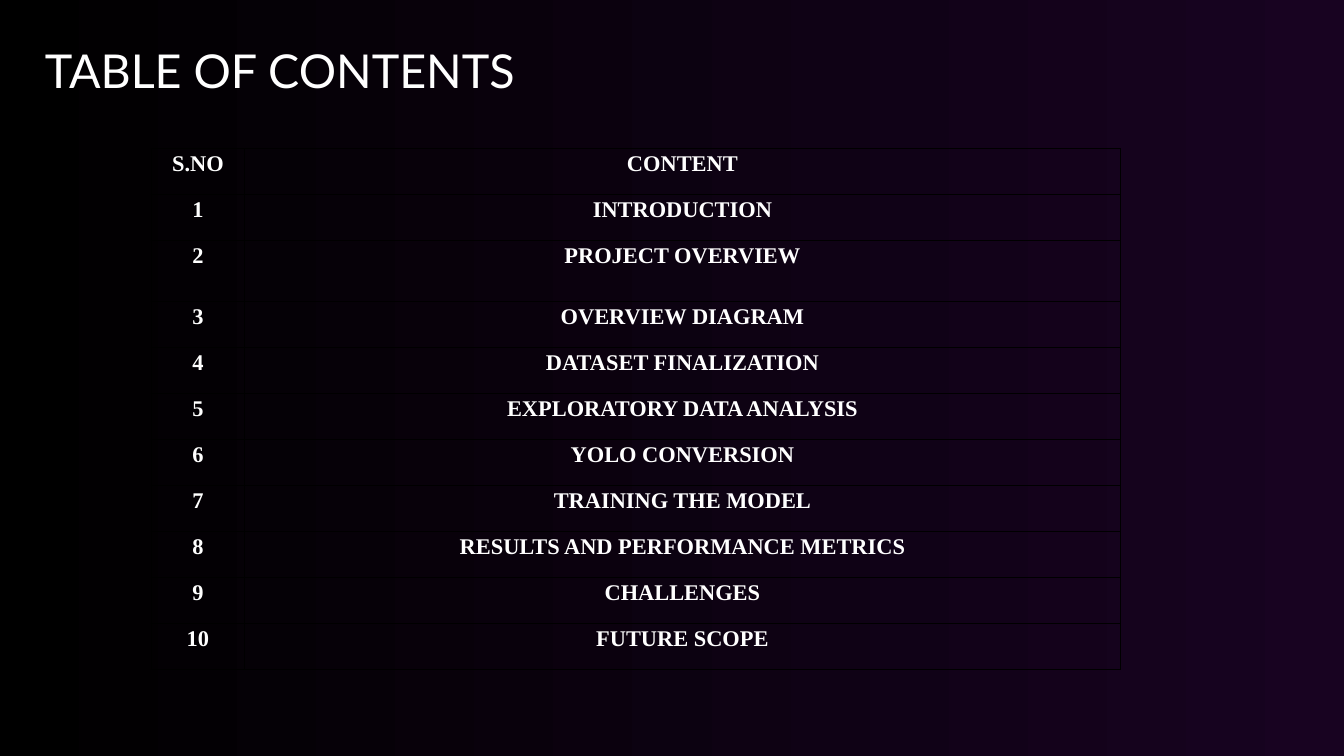
import dataclasses

import lxml.etree
import pptx
import pptx.dml.color
import pptx.enum.text
import pptx.oxml.ns
import pptx.util

WIDE, HIGH = 20, 11.25
TITLE = "TABLE OF CONTENTS"
TOPICS = [
    "INTRODUCTION",
    "PROJECT OVERVIEW",
    "OVERVIEW DIAGRAM",
    "DATASET FINALIZATION",
    "EXPLORATORY DATA ANALYSIS",
    "YOLO CONVERSION",
    "TRAINING THE MODEL",
    "RESULTS AND PERFORMANCE METRICS",
    "CHALLENGES",
    "FUTURE SCOPE",
]
TALL_ROW = 2


@dataclasses.dataclass(frozen=True)
class Theme:
    ink: str = "FFFFFF"
    rule: str = "000000"
    dark: str = "000000"
    glow: str = "180321"
    head_font: str = "Lato"
    body_font: str = "Times New Roman"
    head_size: int = 50
    body_size: int = 24
    rule_size: int = 1


THEME = Theme()


def color(code):
    return pptx.dml.color.RGBColor.from_string(code)


def style(para, face, size, bold, align):
    para.alignment = align
    for run in para.runs:
        run.font.name = face
        run.font.size = pptx.util.Pt(size)
        run.font.bold = bold
        run.font.color.rgb = color(THEME.ink)


def paint(slide):
    """Fill the background with a left-to-right gradient."""
    fill = slide.background.fill
    fill.gradient()
    fill.gradient_angle = 0
    for stop, code in zip(fill.gradient_stops, (THEME.dark, THEME.glow)):
        stop.color.rgb = color(code)


def add_title(slide, box):
    title = slide.shapes.title
    title.left, title.top, title.width, title.height = map(pptx.util.Inches, box)
    frame = title.text_frame
    frame.text = TITLE
    frame.margin_left = frame.margin_right = 0
    frame.margin_top = frame.margin_bottom = 0
    frame.vertical_anchor = pptx.enum.text.MSO_ANCHOR.TOP
    frame.auto_size = pptx.enum.text.MSO_AUTO_SIZE.SHAPE_TO_FIT_TEXT
    style(frame.paragraphs[0], THEME.head_font, THEME.head_size, False,
          pptx.enum.text.PP_ALIGN.LEFT)


def add_rules(cell):
    """Draw a line on each side of the cell."""
    qn = pptx.oxml.ns.qn
    props = cell._tc.get_or_add_tcPr()
    for side in ("lnL", "lnR", "lnT", "lnB"):
        line = lxml.etree.SubElement(props, qn(f"a:{side}"),
                                     w=str(pptx.util.Pt(THEME.rule_size)))
        solid = lxml.etree.SubElement(line, qn("a:solidFill"))
        lxml.etree.SubElement(solid, qn("a:srgbClr"), val=THEME.rule)


def add_contents(slide, box):
    """Number the topics in a table whose tall row is a third higher."""
    left, top, width, height = box
    rows = [("S.NO", "CONTENT")]
    rows += [(str(num), topic) for num, topic in enumerate(TOPICS, 1)]
    table = slide.shapes.add_table(len(rows), 2, *map(pptx.util.Inches, box)).table
    table.first_row = table.horz_banding = False

    first = 0.0964 * width
    for col, size in zip(table.columns, (first, width - first)):
        col.width = pptx.util.Inches(size)
    unit = height / (len(rows) + 1 / 3)
    for num, texts in enumerate(rows):
        share = 4 / 3 if num == TALL_ROW else 1
        table.rows[num].height = pptx.util.Inches(unit * share)
        for col, text in enumerate(texts):
            cell = table.cell(num, col)
            cell.text_frame.text = text
            style(cell.text_frame.paragraphs[0], THEME.body_font,
                  THEME.body_size, True, pptx.enum.text.PP_ALIGN.CENTER)
            add_rules(cell)
            cell.fill.background()


def main():
    deck = pptx.Presentation()
    deck.slide_width = pptx.util.Inches(WIDE)
    deck.slide_height = pptx.util.Inches(HIGH)
    slide = deck.slides.add_slide(deck.slide_layouts.get_by_name("Title Only"))
    paint(slide)
    add_title(slide, (WIDE / 30, 0.055 * HIGH, 0.525 * WIDE, 0.075 * HIGH))
    add_contents(slide, (0.1125 * WIDE, 0.1964 * HIGH, 0.721 * WIDE, 0.6889 * HIGH))
    deck.save("out.pptx")


if __name__ == "__main__":
    main()
